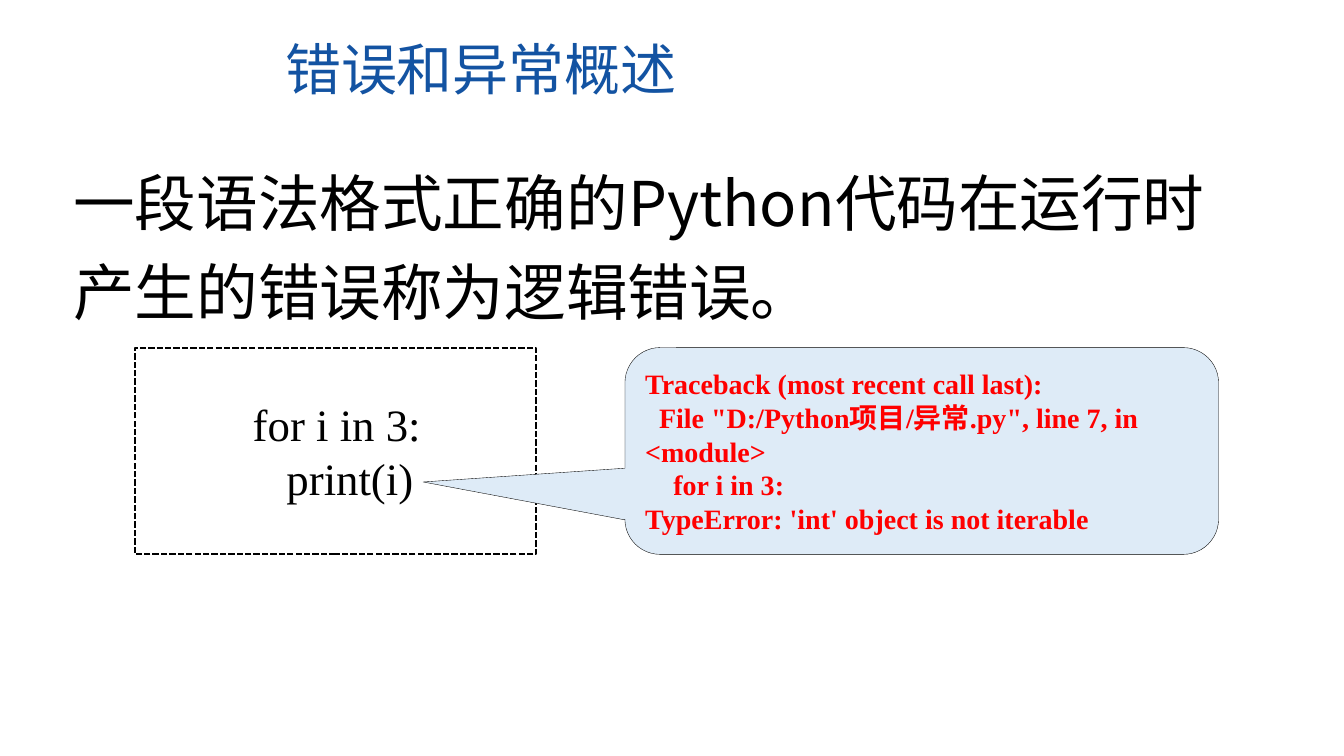
from lxml import etree
from pptx import Presentation
from pptx import util as u
from pptx.dml.color import RGBColor
from pptx.enum import dml, shapes, text
from pptx.oxml import ns

BLUE = RGBColor(0x13, 0x53, 0xA2)
PALE_BLUE = RGBColor(0xDE, 0xEB, 0xF7)
BLACK = RGBColor(0, 0, 0)
RED = RGBColor(0xFF, 0, 0)
SANS = "Noto Sans CJK SC"
SERIF = "Times New Roman"


def place(shape, left, top, width, height):
    shape.left, shape.top = u.Cm(left), u.Cm(top)
    shape.width, shape.height = u.Cm(width), u.Cm(height)


def write(shape, lines, font_name, size, color, bold=False,
          anchor=text.MSO_ANCHOR.TOP, spacing=1.0):
    """Each line is (wording, left margin, first-line indent), lengths in cm."""
    frame = shape.text_frame
    frame.word_wrap = True
    frame.vertical_anchor = anchor
    frame.text = "\n".join(wording for wording, _, _ in lines)
    for paragraph, (_, margin, indent) in zip(frame.paragraphs, lines):
        paragraph.alignment = text.PP_ALIGN.LEFT
        paragraph.line_spacing = spacing
        font = paragraph.font
        font.name, font.size, font.bold = font_name, u.Pt(size), bold
        font.color.rgb = color
        # Indents and the East Asian typeface
        properties = paragraph._p.pPr
        properties.set("marL", str(u.Cm(margin)))
        properties.set("indent", str(u.Cm(indent)))
        defaults = properties.find(ns.qn("a:defRPr"))
        etree.SubElement(defaults, ns.qn("a:ea")).set("typeface", SANS)


def add_text(slide, box, lines, *style, **options):
    label = slide.shapes.add_textbox(*map(u.Cm, box))
    write(label, lines, *style, **options)


def add_outlined(slide, kind, box, line_width, fill=None):
    panel = slide.shapes.add_shape(kind, *map(u.Cm, box))
    panel.shadow.inherit = False
    panel.line.color.rgb = BLACK
    panel.line.width = u.Pt(line_width)
    if fill is None:
        panel.fill.background()
    else:
        panel.fill.solid()
        panel.fill.fore_color.rgb = fill
    return panel


def main():
    deck = Presentation()
    deck.slide_width, deck.slide_height = u.Cm(33.87), u.Cm(19.05)
    slide = deck.slides.add_slide(deck.slide_layouts[5])

    # Title
    title = slide.shapes.title
    place(title, 6.93, 0.74, 14.94, 1.96)
    write(title, [("错误和异常概述", 0, 0)], SANS, 40, BLUE,
          anchor=text.MSO_ANCHOR.MIDDLE)

    # Definition
    add_text(slide, (1.6, 3.66, 30.56, 4.78),
             [("一段语法格式正确的Python代码在运行时产生的错误称为逻辑错误。", 0, 0)],
             SANS, 44, BLACK, spacing=1.2)

    # Faulty code in its dashed frame
    code_frame = add_outlined(slide, shapes.MSO_SHAPE.RECTANGLE,
                              (3.4, 8.76, 10.11, 5.21), 1.5)
    code_frame.line.dash_style = dml.MSO_LINE.SQUARE_DOT
    add_text(slide, (5.84, 9.88, 5.23, 3),
             [("for i in 3:", 0.28, 0), ("print(i)", 1.13, 0)],
             SERIF, 32, BLACK)

    # Traceback callout pointing at the code
    traceback = add_outlined(slide, shapes.MSO_SHAPE.ROUNDED_RECTANGULAR_CALLOUT,
                             (15.75, 8.76, 14.96, 5.21), 0.25, PALE_BLUE)
    for index, value in enumerate((-0.84, 0.15, 0.17)):
        traceback.adjustments[index] = value
    write(traceback,
          [("Traceback (most recent call last):", 0, 0),
           ('File "D:/Python项目/异常.py", line 7, in <module>', 0, 0.35),
           ("for i in 3:", 0.71, 0),
           ("TypeError: 'int' object is not iterable", 0, 0)],
          SERIF, 20, RED, bold=True, anchor=text.MSO_ANCHOR.MIDDLE)

    deck.save("out.pptx")


if __name__ == "__main__":
    main()
